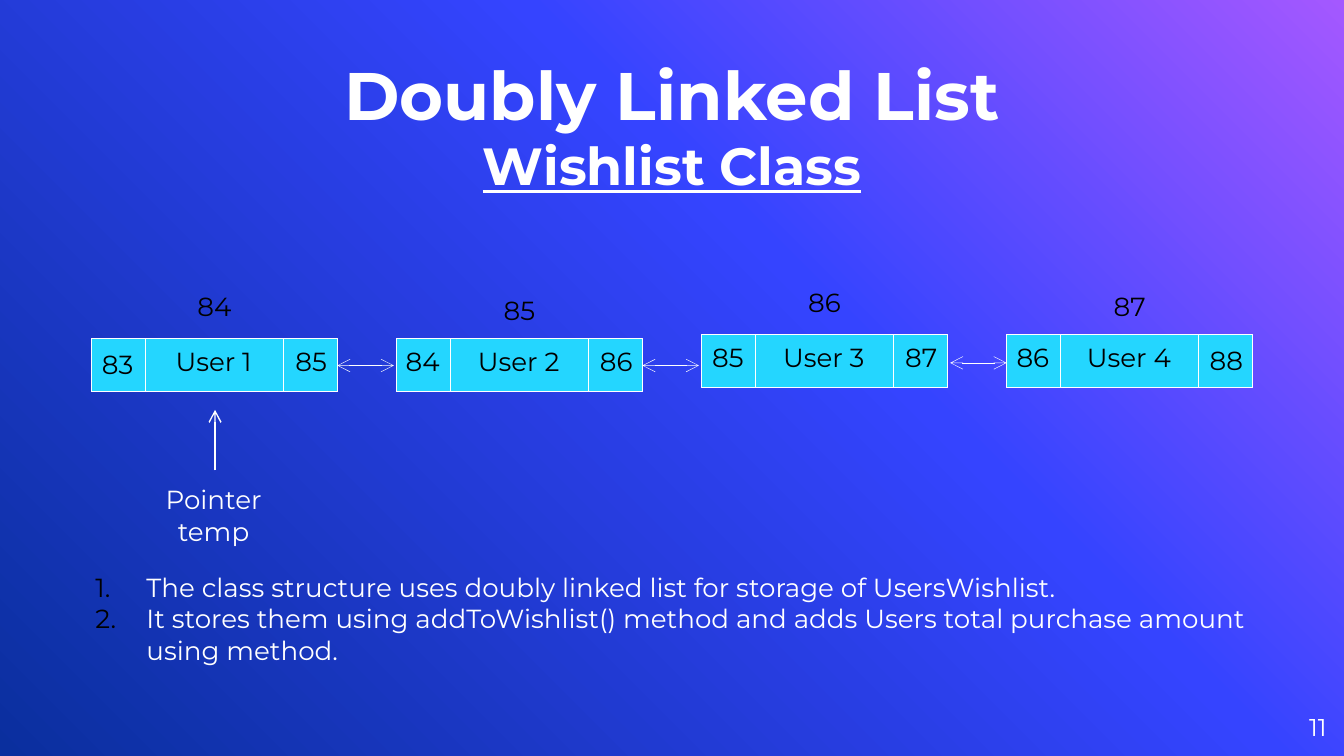
import copy

import lxml.etree
import pptx
import pptx.dml.color
import pptx.enum.shapes
import pptx.enum.text
import pptx.oxml.ns
import pptx.util

PX = 9144  # EMU in one px, 100 px to the inch
FONT = "Montserrat"
WHITE, BLACK, CYAN = "FFFFFF", "000000", "24D6FF"
GRADIENT = [(0, "A458FF"), (0.39, "3544FF"), (1, "0A2F9E")]
ALIGN = pptx.enum.text.PP_ALIGN
ANCHOR = pptx.enum.text.MSO_ANCHOR
qn = pptx.oxml.ns.qn

NODE_LEFT, NODE_STEP = 68, 227
NODE_WIDTH, NODE_HEIGHT, CELL_WIDTH = 183, 39, 40
LABEL_WIDTH, LABEL_HEIGHT = 55, 34
LINK_LENGTH = 42
# top, address, its rise, previous, its drop, name, next, its drop
NODES = [
    (252, "84", 41, "83", 2, "User 1", "85", 0),
    (252, "85", 38, "84", 0, "User 2", "86", 0),
    (249, "86", 41, "85", 0, "User 3", "87", 0),
    (249, "87", 38, "86", 0, "User 4", "88", 2),
]
# gap after the node, drop below its top
LINKS = [(0, 20), (0, 20), (2, 21)]
POINTS = [
    "The class structure uses doubly linked list for storage of UsersWishlist.",
    "It stores them using addToWishlist() method and adds Users total "
    "purchase amount using method.",
]


def color(value):
    return pptx.dml.color.RGBColor.from_string(value)


def set_values(target, values):
    for name, value in values.items():
        setattr(target, name, value)


def place(shape, box):
    names = ("left", "top", "width", "height")
    set_values(shape, {name: value * PX for name, value in zip(names, box)})


def write(shape, lines, align=ALIGN.CENTER, anchor=ANCHOR.TOP, inset=True, ink=WHITE):
    """Fill a shape with paragraphs, given as (text, font values) pairs."""
    frame = shape.text_frame
    side, edge = (10 * PX, 5 * PX) if inset else (0, 0)
    set_values(frame, {
        "word_wrap": True,
        "auto_size": pptx.enum.text.MSO_AUTO_SIZE.NONE,
        "vertical_anchor": anchor,
        "margin_left": side, "margin_right": side,
        "margin_top": edge, "margin_bottom": edge,
    })
    for index, (text, values) in enumerate(lines):
        para = frame.add_paragraph() if index else frame.paragraphs[0]
        set_values(para, {
            "alignment": align, "line_spacing": 1.0,
            "space_before": pptx.util.Pt(0), "space_after": pptx.util.Pt(0),
        })
        span = para.add_run()
        span.text = text
        set_values(span.font, {"name": FONT, "size": pptx.util.Pt(14), **values})
        span.font.color.rgb = color(ink)


def add_text(page, box, text, size=14, **options):
    shape = page.shapes.add_textbox(0, 0, 0, 0)
    place(shape, box)
    write(shape, [(text, {"size": pptx.util.Pt(size)})], **options)


def add_cell(page, box):
    cell = page.shapes.add_shape(pptx.enum.shapes.MSO_SHAPE.RECTANGLE, 0, 0, 0, 0)
    place(cell, box)
    cell.shadow.inherit = False
    cell.fill.solid()
    cell.fill.fore_color.rgb = color(CYAN)
    cell.line.color.rgb = color(WHITE)
    cell.line.width = pptx.util.Pt(0.5)


def add_arrow(page, start, end, width, ends):
    arrow = page.shapes.add_connector(
        pptx.enum.shapes.MSO_CONNECTOR.STRAIGHT,
        *(value * PX for value in (*start, *end)))
    arrow.line.color.rgb = color(WHITE)
    arrow.line.width = pptx.util.Pt(width)
    properties = arrow.element.spPr
    line = properties.find(qn("a:ln"))
    for end_name in ends:
        lxml.etree.SubElement(line, qn(f"a:{end_name}"), type="arrow")
    lxml.etree.SubElement(properties, qn("a:effectLst"))


def paint_background(page):
    fill = page.background.fill
    fill.gradient()
    fill.gradient_angle = 225
    stops = next(page.element.iter(qn("a:gsLst")))
    stops.append(copy.deepcopy(stops[-1]))
    for stop, (position, value) in zip(fill.gradient_stops, GRADIENT):
        stop.position = position
        stop.color.rgb = color(value)


def add_title(page, box):
    place(page.shapes.title, box)
    write(page.shapes.title, [
        ("Doubly Linked List", {"size": pptx.util.Pt(36), "bold": True}),
        ("Wishlist Class", {"size": pptx.util.Pt(28), "bold": True, "underline": True}),
    ], anchor=ANCHOR.BOTTOM, inset=False)


def add_node(page, left, node):
    top, address, rise, previous, previous_drop, name, following, following_drop = node
    last_cell = NODE_WIDTH - CELL_WIDTH
    for offset, width in ((0, NODE_WIDTH), (0, CELL_WIDTH), (last_cell, CELL_WIDTH)):
        add_cell(page, (left + offset, top, width, NODE_HEIGHT))
    for text, center, drop, width in (
        (address, NODE_WIDTH // 2, -rise, LABEL_WIDTH),
        (previous, CELL_WIDTH // 2 - 1, previous_drop, LABEL_WIDTH),
        (name, NODE_WIDTH // 2, 0, 2 * LABEL_WIDTH),
        (following, last_cell + CELL_WIDTH // 2, following_drop, LABEL_WIDTH),
    ):
        box = (left + center - width // 2, top + drop, width, LABEL_HEIGHT)
        add_text(page, box, text, ink=BLACK)


def add_chain(page, left):
    for index, node in enumerate(NODES):
        add_node(page, left + index * NODE_STEP, node)
    for index, (gap, drop) in enumerate(LINKS):
        start = left + index * NODE_STEP + NODE_WIDTH + gap
        middle = NODES[index][0] + drop
        add_arrow(page, (start, middle), (start + LINK_LENGTH, middle), 0.25,
                  ("headEnd", "tailEnd"))


def add_pointer(page, box):
    left, top, width, height = box
    center = left + width // 2 + 1
    add_arrow(page, (center, top + 45), (center, top), 0.75, ("tailEnd",))
    add_text(page, (left, top + 50, width, height - 50), "Pointer temp")


def add_points(page, box):
    body = page.placeholders[1]
    place(body, box)
    write(body, [(text, {}) for text in POINTS], align=ALIGN.LEFT)
    for para in body.text_frame.paragraphs:
        properties = para._p.get_or_add_pPr()
        properties.set("marL", str(38 * PX))
        properties.set("indent", str(-38 * PX))
        ink = lxml.etree.SubElement(properties, qn("a:buClr"))
        lxml.etree.SubElement(ink, qn("a:srgbClr"), val=BLACK)
        lxml.etree.SubElement(properties, qn("a:buFont"), typeface=FONT)
        lxml.etree.SubElement(properties, qn("a:buAutoNum"), type="arabicPeriod")


def main():
    deck = pptx.Presentation()
    width = 1000 * PX
    set_values(deck, {"slide_width": width, "slide_height": width * 9 // 16})
    page = deck.slides.add_slide(deck.slide_layouts[1])
    paint_background(page)
    add_title(page, (0, 29, 1000, 117))
    add_chain(page, NODE_LEFT)
    add_pointer(page, (86, 305, 146, 84))
    add_points(page, (61, 420, 879, 81))
    add_text(page, (927, 519, 60, 43), "11", size=13,
             align=ALIGN.RIGHT, anchor=ANCHOR.MIDDLE, inset=False)
    deck.save("out.pptx")


if __name__ == "__main__":
    main()
